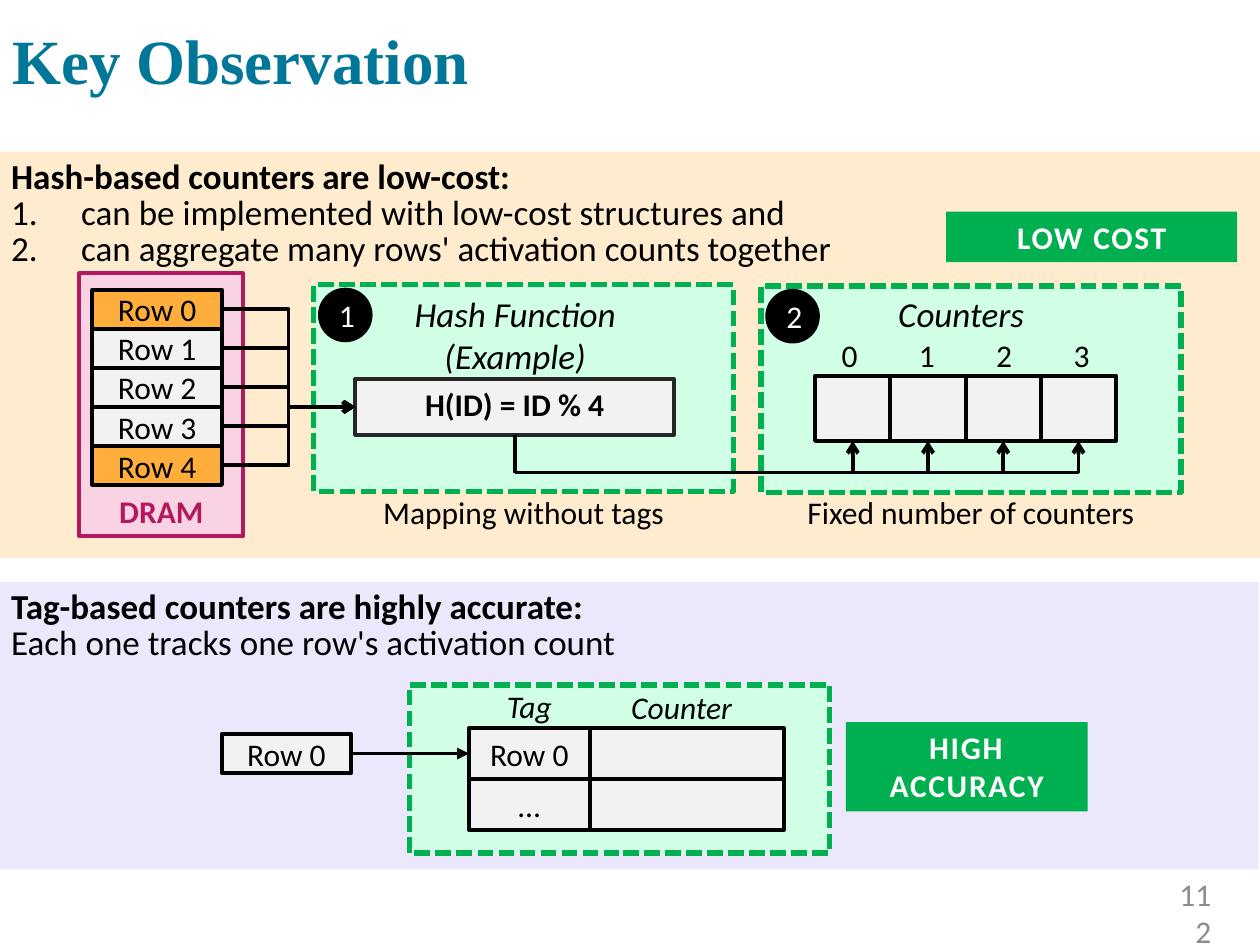
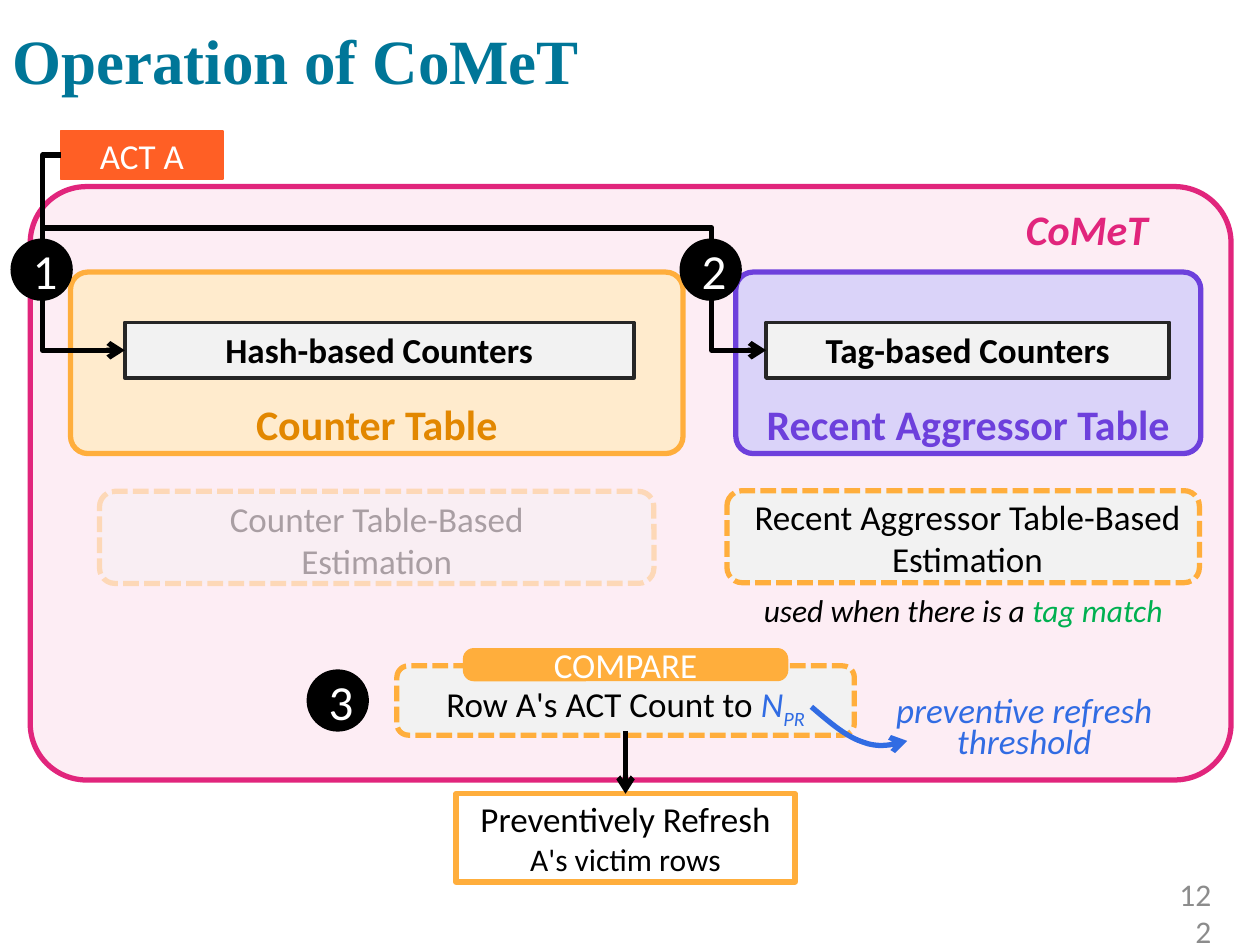
"""Build two slides on row activation counters and the operation of CoMeT."""
from dataclasses import dataclass

from lxml import etree
from pptx import Presentation
from pptx.dml.color import RGBColor
from pptx.enum.dml import MSO_LINE
from pptx.enum.shapes import MSO_CONNECTOR, MSO_SHAPE
from pptx.enum.text import MSO_ANCHOR, PP_ALIGN
from pptx.oxml.ns import qn
from pptx.util import Pt

RECT, ROUNDED, OVAL = MSO_SHAPE.RECTANGLE, MSO_SHAPE.ROUNDED_RECTANGLE, MSO_SHAPE.OVAL
STRAIGHT, ELBOW = MSO_CONNECTOR.STRAIGHT, MSO_CONNECTOR.ELBOW
TOP, MIDDLE, BOTTOM = MSO_ANCHOR.TOP, MSO_ANCHOR.MIDDLE, MSO_ANCHOR.BOTTOM
LEFT, CENTER, RIGHT = PP_ALIGN.LEFT, PP_ALIGN.CENTER, PP_ALIGN.RIGHT
DASHES = MSO_LINE.SQUARE_DOT
SIDE_TOP, SIDE_LEFT, SIDE_BOTTOM, SIDE_RIGHT = range(4)

BODY_FONT, TITLE_FONT = "Calibri", "Times New Roman"
BLACK, WHITE, CHARCOAL, PALE_GREY, PAGE_GREY = "000000", "FFFFFF", "262626", "F2F2F2", "8C8C8C"
TEAL, GREEN, MINT, BLUE = "007698", "00B050", "D1FFE6", "316CE3"
ORANGE, DARK_ORANGE, CREAM, RED_ORANGE = "FFAE3C", "E28700", "FFEBCD", "FF5F25"
LILAC, LAVENDER, VIOLET = "ECE8FC", "DAD3F9", "6D40DC"
PINK, BLUSH, ROSE, BERRY = "E1257C", "FDEDF4", "F9D3E4", "B3195F"


@dataclass(frozen=True)
class Run:
    """A stretch of text that may differ from its paragraph."""
    text: str
    color: str | None = None
    italic: bool | None = None
    baseline: int = 0


@dataclass(frozen=True)
class Para:
    """A paragraph with its font and layout."""
    content: str | tuple[Run, ...]
    size: float = 18
    color: str = BLACK
    bold: bool = False
    italic: bool = False
    align: PP_ALIGN = CENTER
    spacing: float | None = None
    numbered: bool = False
    tracking: int = 0
    font: str = BODY_FONT


@dataclass(frozen=True)
class Box:
    """A shape, or a plain text box when it has neither fill nor line."""
    left: float
    top: float
    width: float
    height: float
    paras: tuple[Para, ...] = ()
    fill: str | None = None
    line: str | None = None
    weight: float = 2.25
    kind: MSO_SHAPE = RECT
    anchor: MSO_ANCHOR = TOP
    dashed: bool = False
    corner: float | None = None
    insets: tuple[float, float, float, float] | None = None
    opacity: int = 100


def rgb(color: str) -> RGBColor:
    """Turn a hex string into a colour."""
    return RGBColor.from_string(color)


def write(frame, box: Box) -> None:
    """Fill a text frame with the paragraphs of a box."""
    frame.word_wrap = True
    frame.vertical_anchor = box.anchor
    if box.insets:
        frame.margin_left, frame.margin_top, frame.margin_right, frame.margin_bottom = map(Pt, box.insets)
    for index, para in enumerate(box.paras):
        paragraph = frame.add_paragraph() if index else frame.paragraphs[0]
        paragraph.alignment = para.align
        if para.spacing:
            paragraph.line_spacing = para.spacing
        if para.numbered:
            properties = paragraph._p.get_or_add_pPr()
            properties.set("marL", str(Pt(40)))
            properties.set("indent", str(Pt(-40)))
            etree.SubElement(properties, qn("a:buAutoNum"), type="arabicPeriod")
        font = paragraph.font
        font.name, font.size = para.font, Pt(para.size)
        font.bold, font.italic = para.bold, para.italic
        font.color.rgb = rgb(para.color)
        runs = (Run(para.content),) if isinstance(para.content, str) else para.content
        for part in runs:
            run = paragraph.add_run()
            run.text = part.text
            if part.color:
                run.font.color.rgb = rgb(part.color)
            if part.italic is not None:
                run.font.italic = part.italic
            if part.baseline:
                run.font._rPr.set("baseline", str(part.baseline * 1000))
            if para.tracking:
                run.font._rPr.set("spc", str(para.tracking * 100))


def draw(slide, box: Box):
    """Draw a box and return its shape."""
    place = [Pt(length) for length in (box.left, box.top, box.width, box.height)]
    if not (box.fill or box.line):
        shape = slide.shapes.add_textbox(*place)
        write(shape.text_frame, box)
        return shape
    shape = slide.shapes.add_shape(box.kind, *place)
    shape.shadow.inherit = False
    if box.corner:
        shape.adjustments[0] = box.corner
    shape.fill.solid()
    shape.fill.fore_color.rgb = rgb(box.fill)
    if box.opacity < 100:
        color = shape._element.spPr.find(qn("a:solidFill"))[0]
        etree.SubElement(color, qn("a:alpha"), val=str(box.opacity * 1000))
    if box.line:
        style_line(shape, box.line, box.weight)
        if box.dashed:
            shape.line.dash_style = DASHES
    else:
        shape.line.fill.background()
    write(shape.text_frame, box)
    return shape


def style_line(shape, color: str, weight: float, head: str = "") -> None:
    """Set colour, width and arrowhead of a line."""
    shape.line.color.rgb = rgb(color)
    shape.line.width = Pt(weight)
    if head:
        etree.SubElement(shape.line._get_or_add_ln(), qn("a:tailEnd"), type=head)


def connect(slide, start: tuple[float, float], end: tuple[float, float], weight: float = 2.25,
            head: str = "arrow", bend_x: float | None = None):
    """Draw a straight connector, or an elbow that turns at bend_x."""
    kind = STRAIGHT if bend_x is None else ELBOW
    connector = slide.shapes.add_connector(kind, *map(Pt, start + end))
    style_line(connector, BLACK, weight, head)
    properties = connector._element.spPr
    etree.SubElement(properties, qn("a:effectLst"))
    if bend_x is not None:
        share = round((bend_x - start[0]) / (end[0] - start[0]) * 100000)
        guides = properties.find(qn("a:prstGeom")).find(qn("a:avLst"))
        etree.SubElement(guides, qn("a:gd"), name="adj1", fmla=f"val {share}")
    return connector


def curve(slide, start: tuple[float, float], bends: list, color: str, steps: int = 10) -> None:
    """Draw an arrow along cubic curves, each given by two controls and an end."""
    points, origin = [], start
    for controls in bends:
        knots = (origin, *controls)
        for step in range(1, steps + 1):
            t = step / steps
            weights = ((1 - t) ** 3, 3 * t * (1 - t) ** 2, 3 * t * t * (1 - t), t ** 3)
            points.append(tuple(Pt(sum(w * k[axis] for w, k in zip(weights, knots))) for axis in (0, 1)))
        origin = knots[-1]
    builder = slide.shapes.build_freeform(*map(Pt, start))
    builder.add_line_segments(points, close=False)
    arrow = builder.convert_to_shape()
    arrow.shadow.inherit = False
    arrow.fill.background()
    style_line(arrow, color, 3, "arrow")


def start_slide(deck, title: str, number: str):
    """Add a blank slide with its title and page number."""
    slide = deck.slides.add_slide(deck.slide_layouts[6])
    heading = Para(title, 36, TEAL, bold=True, align=LEFT, spacing=0.9, font=TITLE_FONT)
    draw(slide, Box(0, 0, 720, 73.4, (heading,), anchor=MIDDLE))
    draw(slide, Box(661, 513.4, 38.2, 15.8, (Para(number, color=PAGE_GREY, align=RIGHT),), anchor=MIDDLE))
    return slide


def badge(left: float, top: float, diameter: float, step: str, size: float) -> Box:
    """Describe a numbered black circle."""
    return Box(left, top, diameter, diameter, (Para(step, size, WHITE),), BLACK, BLACK, 1, OVAL, MIDDLE)


def cell(left: float, top: float, width: float, height: float, text: str = "", fill: str = PALE_GREY) -> Box:
    """Describe a black-edged cell of a memory or counter structure."""
    return Box(left, top, width, height, (Para(text),) if text else (), fill, BLACK, anchor=MIDDLE)


def panel(left: float, top: float, width: float, height: float) -> Box:
    """Describe a dashed green panel."""
    return Box(left, top, width, height, fill=MINT, line=GREEN, weight=3, dashed=True)


def verdict(left: float, top: float, width: float, height: float, text: str) -> Box:
    """Describe a green label with spaced capitals."""
    return Box(left, top, width, height, (Para(text, color=WHITE, bold=True, tracking=1),), GREEN)


def counters_box(left: float, top: float, width: float, text: str, size: float = 20) -> Box:
    """Describe a grey box with bold text."""
    return Box(left, top, width, 31.7, (Para(text, size, bold=True),), PALE_GREY, CHARCOAL)


def estimation(left: float, top: float, width: float, height: float) -> Box:
    """Describe a dashed orange frame with rounded corners."""
    return Box(left, top, width, height, fill=PALE_GREY, line=ORANGE, weight=3, kind=ROUNDED, dashed=True)


def draw_tag_based(slide) -> None:
    """Draw the lower band on tag-based counters."""
    draw(slide, Box(-0.7, 332.6, 720, 164.2, fill=LILAC))
    draw(slide, Box(-0.7, 334.1, 720, 48.2, (
        Para("Tag-based counters are highly accurate:", 20, bold=True, align=LEFT, spacing=0.85),
        Para("Each one tracks one row's activation count", 20, align=LEFT, spacing=0.85))))
    draw(slide, panel(234, 391.4, 240, 96))
    draw(slide, verdict(483.3, 412.6, 138.2, 51, "HIGH ACCURACY"))
    tags = []
    for index, tag in enumerate(("Row 0", "…")):
        top = 416.2 + 29.2 * index
        draw(slide, cell(337, top, 111, 28.8))
        tags.append(draw(slide, cell(268, top, 69, 28.8, tag)))
    row = draw(slide, cell(126.7, 419.5, 74, 22.2, "Row 0"))
    draw(slide, Box(268, 389, 69, 28.8, (Para("Tag", italic=True),)))
    draw(slide, Box(334.8, 389.5, 109.4, 28.8, (Para("Counter", italic=True),)))
    lookup = connect(slide, (200.7, 430.6), (268, 430.6), head="triangle")
    lookup.begin_connect(row, SIDE_RIGHT)
    lookup.end_connect(tags[0], SIDE_LEFT)


def draw_hash_based(slide) -> None:
    """Draw the upper band on hash-based counters."""
    draw(slide, Box(0, 86.6, 720, 232.4, fill=CREAM))
    for left, top, step, caption in ((179.2, 162.7, "1", "Mapping without tags"),
                                     (434.8, 163.4, "2", "Fixed number of counters")):
        draw(slide, panel(left, top, 240, 118))
        draw(slide, Box(left, 278, 240, 28.8, (Para(caption),)))
        draw(slide, badge(left + 3, top + 2.2, 30.2, step, 18))
    hash_box = draw(slide, counters_box(203, 216.7, 182.2, "H(ID) = ID % 4", 18))
    example = tuple(Para(text, 20, italic=True) for text in ("Hash Function", "(Example)"))
    draw(slide, Box(208, 163.4, 172.8, 55.4, example))
    draw(slide, Box(45.4, 156.2, 93.6, 150.2, (Para("DRAM", color=BERRY, bold=True),), ROSE, BERRY, anchor=BOTTOM))
    for index in range(5):
        top = 165.6 + 22.3 * index
        draw(slide, cell(52.8, top, 74, 22.3, f"Row {index}", PALE_GREY if index in (1, 2, 3) else ORANGE))
        connect(slide, (126.8, top + 11.15), (203, 232.55), bend_x=164.9)

    bus_y = 270
    trunk = connect(slide, (294.1, 248.4), (294.1, bus_y), head="")
    trunk.begin_connect(hash_box, SIDE_BOTTOM)
    connect(slide, (294.1, bus_y), (616.6, bus_y), head="")
    for index in range(4):
        left = 465.8 + 43 * index
        draw(slide, Box(473.8 + 44.2 * index, 188.6, 20.2, 28.8, (Para(str(index), align=LEFT),)))
        counter = draw(slide, cell(left, 214.6, 43, 37.4))
        feed = connect(slide, (left + 21.5, bus_y), (left + 21.5, 252))
        feed.end_connect(counter, SIDE_BOTTOM)
    draw(slide, Box(506.2, 163.4, 88.6, 31.7, (Para("Counters", 20, italic=True, align=LEFT),)))
    reasons = ("can be implemented with low-cost structures and",
               "can aggregate many rows' activation counts together")
    draw(slide, Box(-0.7, 85, 722, 72.7, (
        Para("Hash-based counters are low-cost:", 20, bold=True, align=LEFT),
        *(Para(reason, 20, align=LEFT, spacing=0.85, numbered=True) for reason in reasons))))
    draw(slide, verdict(540.7, 121, 166.3, 28.8, "LOW COST"))


def draw_operation(slide) -> None:
    """Draw the tables, estimates and comparison of CoMeT."""
    name = Para("CoMeT", 24, PINK, bold=True, italic=True, align=RIGHT)
    draw(slide, Box(17.3, 106.6, 686.2, 339.1, (name,), BLUSH, PINK, 3, ROUNDED, corner=0.095, insets=(0, 0, 38, 0)))
    for left, width, title, ink, fill, line in (
            (40.3, 350, "Counter Table", DARK_ORANGE, CREAM, ORANGE),
            (420.5, 265.7, "Recent Aggressor Table", VIOLET, LAVENDER, VIOLET)):
        draw(slide, Box(left, 155.5, width, 103.7, (Para(title, 24, ink, bold=True),), fill, line, 3,
                        ROUNDED, BOTTOM, corner=0.095, insets=(0, 0, 0, 0)))
    draw(slide, counters_box(71.3, 184.3, 290.9, "Hash-based Counters"))
    draw(slide, counters_box(437.8, 184.3, 230.4, "Tag-based Counters"))
    draw(slide, Box(34.6, 74.9, 92.9, 27.4, (Para("ACT A", 20, WHITE),), RED_ORANGE, RED_ORANGE, 1, anchor=MIDDLE))
    connect(slide, (34.6, 88.6), (71.3, 200.15), 3, bend_x=24.4)
    connect(slide, (24.4, 130.3), (437.8, 200.15), 3, bend_x=406.6)

    draw(slide, estimation(56.9, 280.8, 316.8, 52.6))
    draw(slide, Box(79.2, 280.8, 272.2, 55.4, (Para("Counter Table-Based Estimation", 20),)))
    draw(slide, estimation(415.4, 280.4, 270, 52.6))
    draw(slide, Box(415.4, 279.4, 275, 55.4, (Para("Recent Aggressor Table-Based", 20), Para("Estimation", 20))))
    draw(slide, Box(34.6, 270.7, 355.7, 72.7, fill=BLUSH, opacity=67))
    for left, top, step in ((6.5, 136.8, "1"), (388.8, 136.8, "2"), (175.7, 383, "3")):
        draw(slide, badge(left, top, 34.6, step, 28))
    match = (Run("used when there is a "), Run("tag match", GREEN))
    draw(slide, Box(415.4, 334.1, 270, 28.8, (Para(match, italic=True),)))

    draw(slide, estimation(226.8, 380.5, 261.4, 39.6))
    comparison = (Run("Row A's ACT Count to "), Run("N", BLUE, True), Run("PR", BLUE, True, -25))
    draw(slide, Box(245.5, 386.6, 224, 55.4, (Para(comparison, 20),)))
    draw(slide, Box(265, 370.8, 185, 18, (Para("COMPARE", 20, WHITE),), ORANGE, ORANGE, 1, ROUNDED, MIDDLE, corner=0.32))
    threshold = Para("preventive refresh threshold", 20, BLUE, italic=True, spacing=0.75)
    draw(slide, Box(493.2, 395.3, 184.3, 44.6, (threshold,)))
    curve(slide, (463.7, 403.9), [((473.8, 412.6), (483.8, 421.2), (493.2, 424.1)),
                                  ((502.6, 427.7), (510.5, 425.5), (518.4, 423.4))], BLUE)
    refresh = draw(slide, Box(260.6, 453.6, 193.7, 50.4, (Para("Preventively Refresh", 20), Para("A's victim rows")),
                              WHITE, ORANGE, 3, anchor=MIDDLE))
    trigger = connect(slide, (357.45, 417.6), (357.45, 453.6), 3)
    trigger.end_connect(refresh, SIDE_TOP)


def main() -> None:
    """Build and save the deck."""
    deck = Presentation()
    deck.slide_width, deck.slide_height = Pt(720), Pt(540)
    observation = start_slide(deck, "Key Observation", "112")
    draw_tag_based(observation)
    draw_hash_based(observation)
    draw_operation(start_slide(deck, "Operation of CoMeT", "122"))
    deck.save("out.pptx")


if __name__ == "__main__":
    main()
